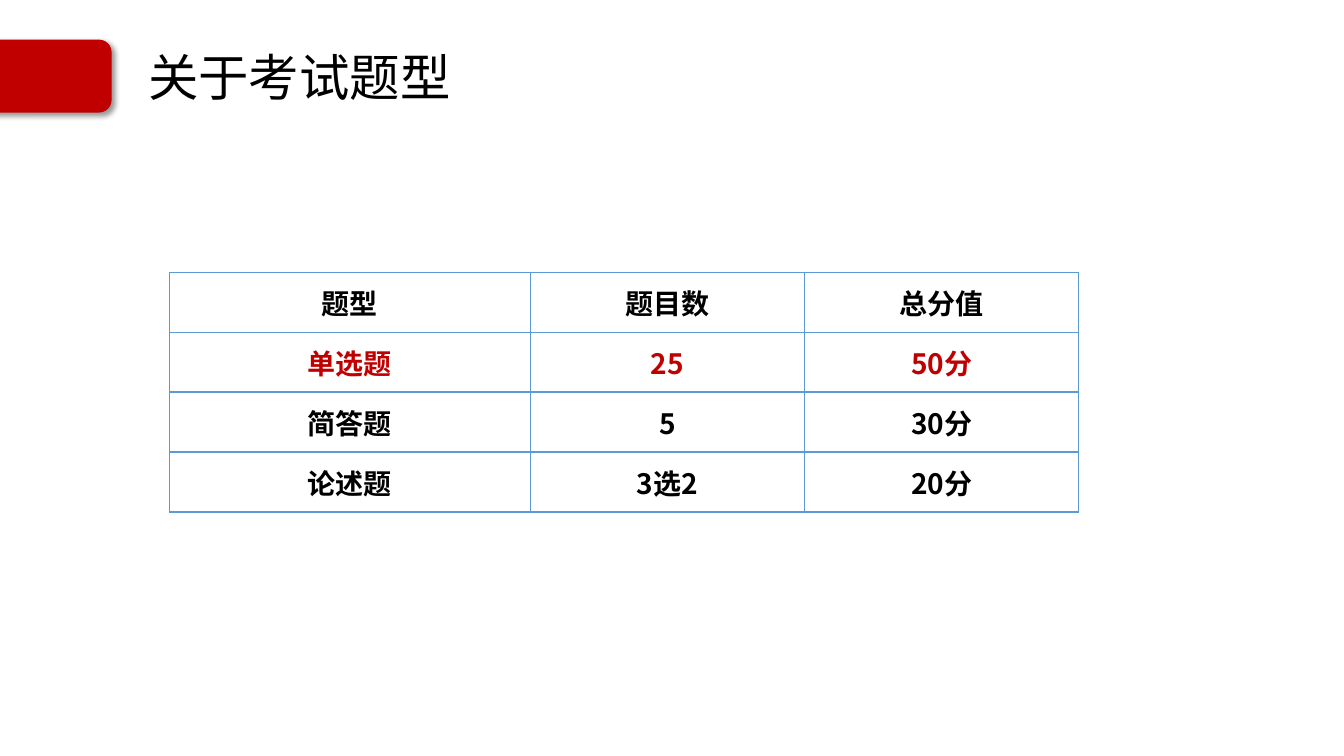
import pptx
import pptx.util
import pptx.dml.color
import pptx.enum.shapes
import pptx.enum.text
import pptx.oxml
import pptx.oxml.ns
import lxml.etree

# Content
TITLE = "关于考试题型"
EXAM_ROWS = [
    ("题型", "题目数", "总分值"),
    ("单选题", "25", "50分"),
    ("简答题", "5", "30分"),
    ("论述题", "3选2", "20分"),
]
HIGHLIGHTED_ROW = 1

# Look
RED, BLACK, BORDER = "C00000", "000000", "5B9BD5"
TITLE_FONT, TABLE_FONT = "Noto Sans CJK JP", "Noto Sans CJK SC"

# Layout in inches
SLIDE_SIZE = (13.33, 7.5)
TAB_BOX = (-0.18, 0.4, 1.28, 0.71)
TITLE_BOX = (1.37, 0.5, 10.17, 0.59)
TABLE_LEFT, TABLE_TOP = 1.68, 2.7
COLUMN_WIDTHS = (3.58, 2.72, 2.72)
ROW_HEIGHT = 0.595


def inches(values):
    return [pptx.util.Inches(value) for value in values]


def color(hex_code):
    return pptx.dml.color.RGBColor.from_string(hex_code)


def style_paragraph(paragraph, font_name, size, hex_code, bold=False):
    font = paragraph.font
    font.name, font.size, font.bold = font_name, pptx.util.Pt(size), bold
    font.color.rgb = color(hex_code)
    # East Asian typeface
    properties = paragraph._p.pPr.find(pptx.oxml.ns.qn("a:defRPr"))
    east_asian = lxml.etree.SubElement(properties, pptx.oxml.ns.qn("a:ea"))
    east_asian.set("typeface", font_name)


def add_borders(cell, hex_code):
    cell_properties = cell._tc.get_or_add_tcPr()
    for index, side in enumerate("LRTB"):
        line = pptx.oxml.parse_xml(
            f'<a:ln{side} {pptx.oxml.ns.nsdecls("a")} w="12700"><a:solidFill>'
            f'<a:srgbClr val="{hex_code}"/></a:solidFill></a:ln{side}>')
        cell_properties.insert(index, line)


def add_tab(slide):
    tab = slide.shapes.add_shape(
        pptx.enum.shapes.MSO_SHAPE.ROUNDED_RECTANGLE, *inches(TAB_BOX))
    tab.fill.solid()
    tab.fill.fore_color.rgb = color(RED)
    tab.line.color.rgb = color(RED)
    tab.line.width = pptx.util.Pt(1)
    # Soft shadow to the lower right
    tab.shadow.inherit = False
    effects = tab._element.spPr.find(pptx.oxml.ns.qn("a:effectLst"))
    effects.append(pptx.oxml.parse_xml(
        f'<a:outerShdw {pptx.oxml.ns.nsdecls("a")} blurRad="50800" dist="38100" '
        f'dir="2700000" algn="tl" rotWithShape="0"><a:srgbClr val="{BLACK}">'
        '<a:alpha val="40000"/></a:srgbClr></a:outerShdw>'))


def add_title(slide):
    frame = slide.shapes.add_textbox(*inches(TITLE_BOX)).text_frame
    frame.word_wrap = True
    frame.vertical_anchor = pptx.enum.text.MSO_ANCHOR.MIDDLE
    paragraph = frame.paragraphs[0]
    paragraph.text = TITLE
    paragraph.line_spacing = 0.9
    style_paragraph(paragraph, TITLE_FONT, 36, BLACK)


def add_exam_table(slide):
    box = (TABLE_LEFT, TABLE_TOP, sum(COLUMN_WIDTHS), ROW_HEIGHT * len(EXAM_ROWS))
    table = slide.shapes.add_table(
        len(EXAM_ROWS), len(COLUMN_WIDTHS), *inches(box)).table
    table.horz_banding = False
    for column, width in zip(table.columns, inches(COLUMN_WIDTHS)):
        column.width = width
    for row_index, texts in enumerate(EXAM_ROWS):
        text_color = RED if row_index == HIGHLIGHTED_ROW else BLACK
        for column_index, text in enumerate(texts):
            cell = table.cell(row_index, column_index)
            cell.fill.background()
            add_borders(cell, BORDER)
            cell.vertical_anchor = pptx.enum.text.MSO_ANCHOR.MIDDLE
            paragraph = cell.text_frame.paragraphs[0]
            paragraph.text = text
            paragraph.alignment = pptx.enum.text.PP_ALIGN.CENTER
            style_paragraph(paragraph, TABLE_FONT, 20, text_color, bold=True)


def main():
    presentation = pptx.Presentation()
    presentation.slide_width, presentation.slide_height = inches(SLIDE_SIZE)
    slide = presentation.slides.add_slide(presentation.slide_layouts[6])
    add_tab(slide)
    add_title(slide)
    add_exam_table(slide)
    presentation.save("out.pptx")


if __name__ == "__main__":
    main()
